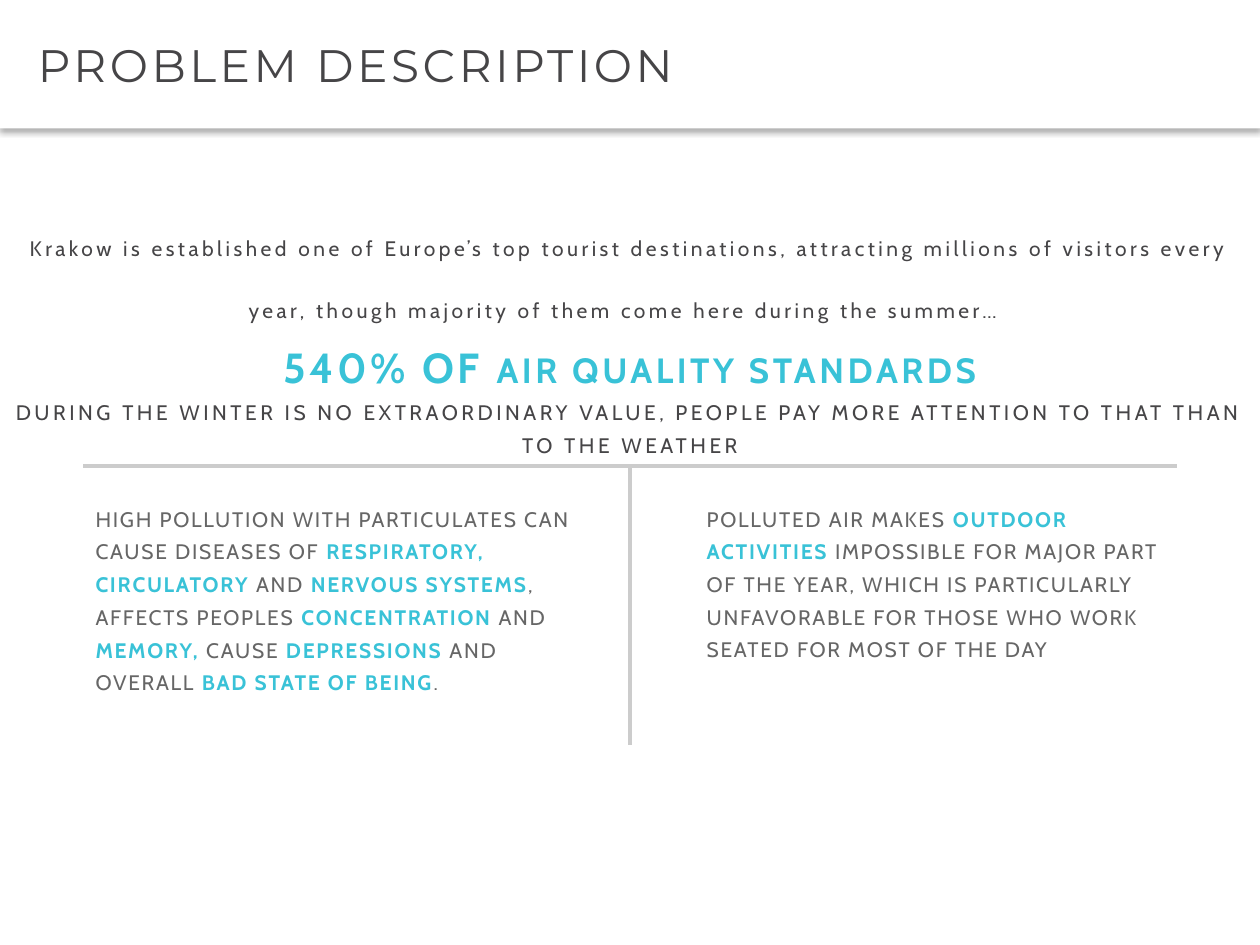
from lxml.etree import SubElement
from pptx import Presentation
from pptx.dml.color import RGBColor as Rgb
from pptx.enum.shapes import MSO_CONNECTOR as Connector, MSO_SHAPE as Shape
from pptx.enum.text import MSO_ANCHOR as Anchor, PP_ALIGN as Align
from pptx.oxml.ns import qn
from pptx.util import Inches, Pt

COLORS = {"white": "FFFFFF", "dark": "464547", "body": "666666",
          "accent": "39C2D7", "rule": "CCCCCC", "shadow": "000000"}

deck = Presentation()
deck.slide_width, deck.slide_height = Inches(10), Inches(7.5)
W, H = deck.slide_width, deck.slide_height
slide = deck.slides.add_slide(deck.slide_layouts[6])
shapes = slide.shapes


def write(paragraph, text, size=12, color="body", bold=False, font="Cabin", spacing=1):
    run = paragraph.add_run()
    run.text = text
    run.font.size = Pt(size)
    run.font.bold = bold
    run.font.name = font
    run.font.color.rgb = Rgb.from_string(COLORS[color])
    run.font._element.set("spc", str(spacing * 100))


def add_text(left, top, width, height, paragraphs, align=Align.LEFT, **common):
    frame = shapes.add_textbox(int(left * W), int(top * H), int(width * W), int(height * H)).text_frame
    frame.word_wrap = True
    for index, parts in enumerate(paragraphs):
        paragraph = frame.add_paragraph() if index else frame.paragraphs[0]
        paragraph.alignment = align
        paragraph.line_spacing = 1.3
        for text, style in parts:
            write(paragraph, text, **{**common, **style})


header = shapes.add_shape(Shape.RECTANGLE, 0, 0, W, int(0.136 * H))
header.shadow.inherit = False
header.fill.solid()
header.fill.fore_color.rgb = Rgb.from_string(COLORS["white"])
header.line.fill.background()
effects = header._element.spPr.find(qn("a:effectLst"))
shadow = SubElement(effects, qn("a:outerShdw"), blurRad=str(Pt(3.1)), dist=str(Pt(2)),
                    dir="5400000", algn="t", rotWithShape="0")
shade = SubElement(shadow, qn("a:srgbClr"), val=COLORS["shadow"])
SubElement(shade, qn("a:alpha"), val="30000")
title = header.text_frame
title.word_wrap = True
title.vertical_anchor = Anchor.MIDDLE
title.margin_left, title.margin_right = Inches(0.3), Inches(0.07)
title.margin_top = title.margin_bottom = Inches(0.04)
title.paragraphs[0].alignment = Align.LEFT
write(title.paragraphs[0], "PROBLEM DESCRIPTION", size=26, color="dark", font="Montserrat", spacing=2)

plain = {}
key = {"color": "accent", "bold": True}
big = {**key, "size": 24}

intro = [
    [("Krakow is established one of Europe’s top tourist destinations, attracting millions "
      "of visitors every year, though majority of them come here during the summer…", plain),
     (" ", big)],
    [("540% OF ", big), ("AIR QUALITY STANDARDS", {**key, "size": 20})],
    [("DURING THE WINTER IS NO EXTRAORDINARY VALUE, PEOPLE PAY MORE ATTENTION TO THAT "
      "THAN TO THE WEATHER", plain)],
]
add_text(0, 0.235, 1, 0.259, intro, align=Align.CENTER, color="dark", spacing=2)

edge, middle, rule_y, rule_end = 0.066, 0.5, 0.493, 0.788
for x1, y1, x2, y2 in [(edge, rule_y, 1 - edge, rule_y), (middle, rule_y, middle, rule_end)]:
    rule = shapes.add_connector(Connector.STRAIGHT, int(x1 * W), int(y1 * H), int(x2 * W), int(y2 * H))
    rule.line.color.rgb = Rgb.from_string(COLORS["rule"])
    rule.line.width = Pt(2)
    SubElement(rule._element.spPr, qn("a:effectLst"))

health = [
    ("HIGH POLLUTION WITH PARTICULATES CAN CAUSE DISEASES OF ", plain),
    ("RESPIRATORY, CIRCULATORY ", key),
    ("AND", plain),
    (" NERVOUS SYSTEMS", key),
    (", AFFECTS PEOPLES ", plain),
    ("CONCENTRATION", key),
    (" AND ", plain),
    ("MEMORY, ", key),
    ("CAUSE ", plain),
    ("DEPRESSIONS", key),
    (" AND OVERALL ", plain),
    ("BAD STATE OF BEING", key),
    (".", plain),
]
activity = [
    ("POLLUTED AIR MAKES ", plain),
    ("OUTDOOR ACTIVITIES", key),
    (" IMPOSSIBLE FOR MAJOR PART OF THE YEAR, WHICH IS PARTICULARLY UNFAVORABLE FOR "
     "THOSE WHO WORK SEATED FOR MOST OF THE DAY", plain),
]
columns_top = 0.521
for left, width, height, effect in [(edge, 0.412, 0.224, health), (0.551, 0.382, 0.185, activity)]:
    add_text(left, columns_top, width, height, [effect])

deck.save("out.pptx")
